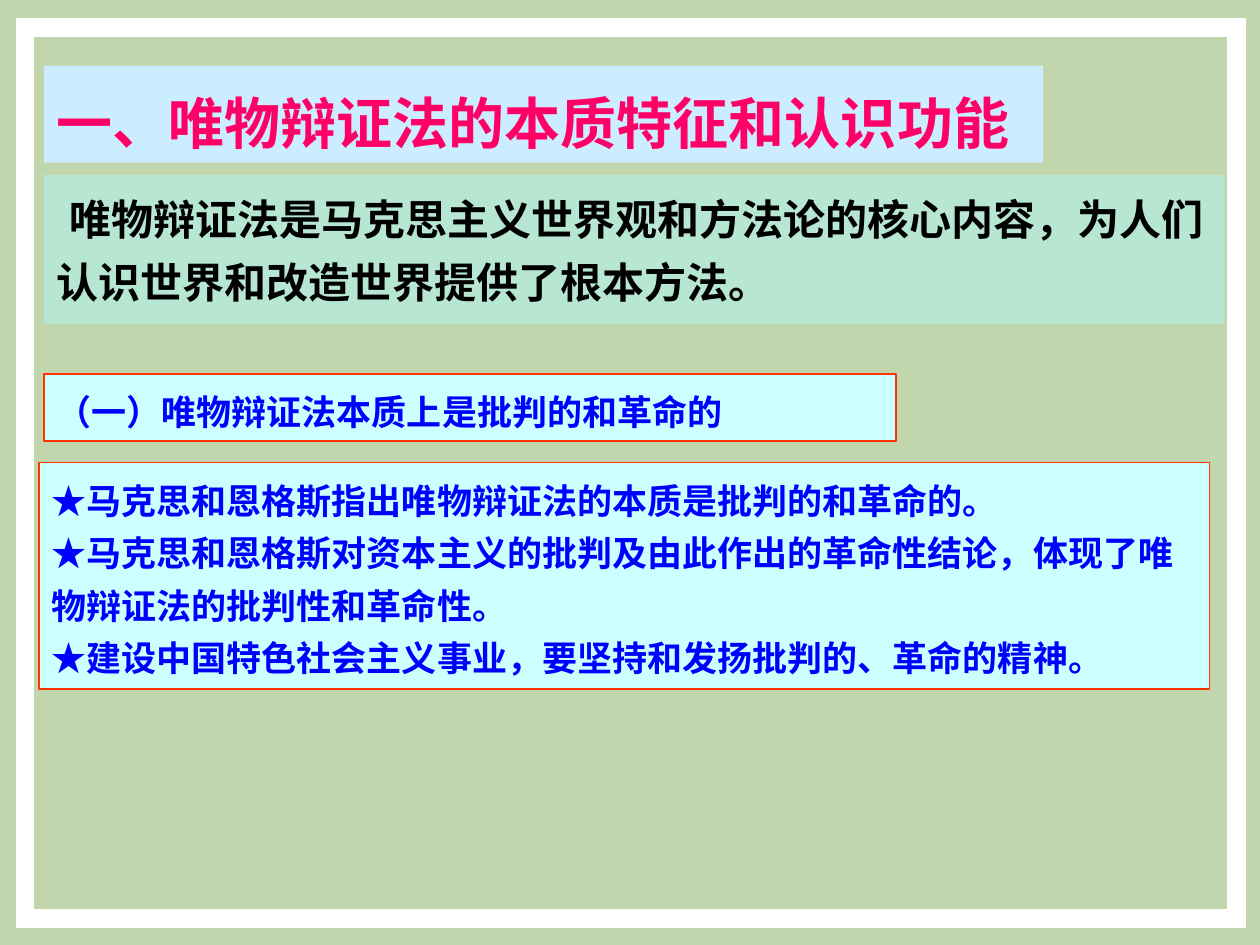
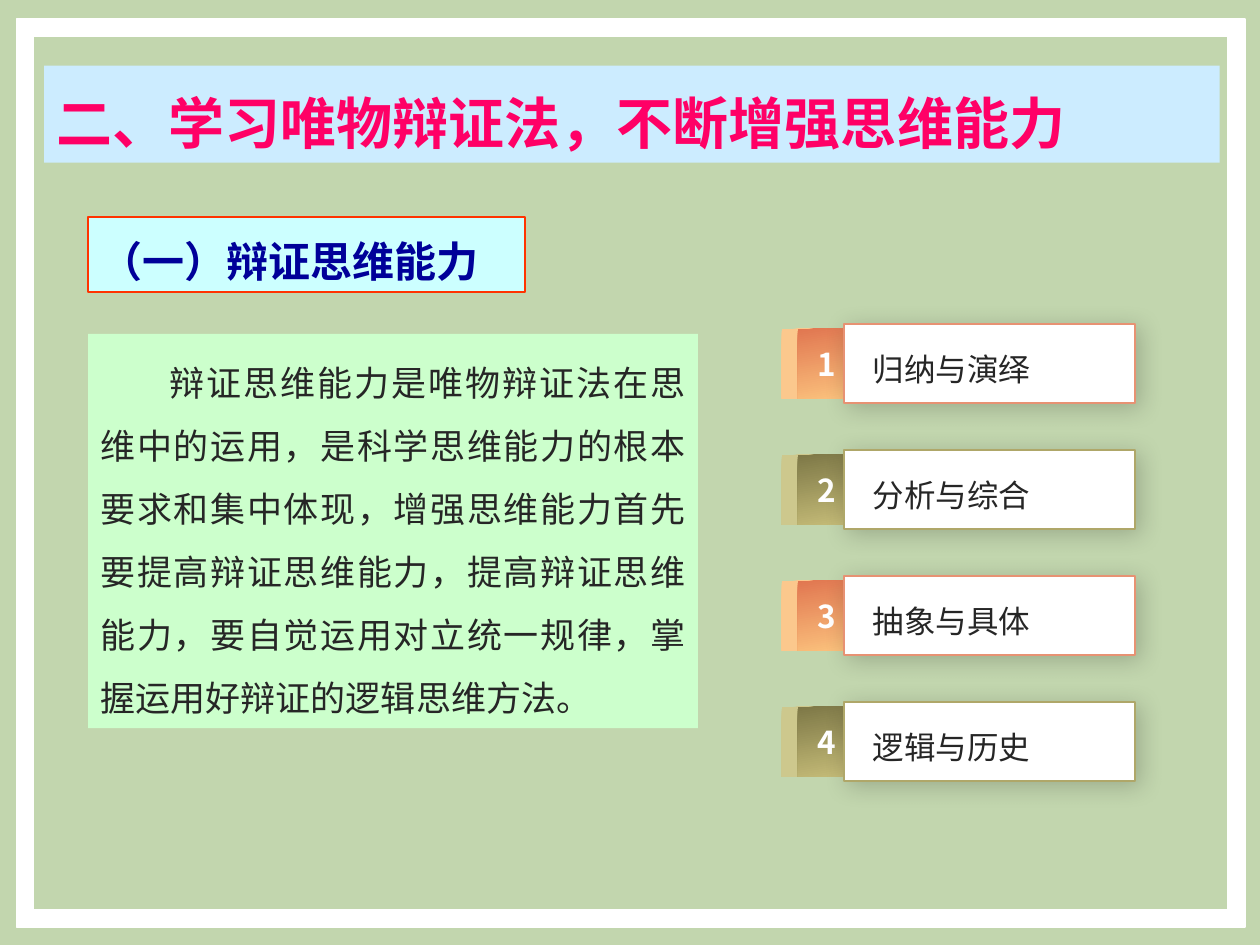
"""Build two slides on materialist dialectics and dialectical thinking."""
from lxml import etree
from pptx import Presentation
from pptx.dml.color import RGBColor
from pptx.enum.shapes import MSO_SHAPE
from pptx.enum.text import MSO_ANCHOR, MSO_AUTO_SIZE, PP_ALIGN
from pptx.oxml.ns import qn
from pptx.util import Inches, Pt

RECTANGLE, FRAME = MSO_SHAPE.RECTANGLE, MSO_SHAPE.FRAME
TOP, MIDDLE = MSO_ANCHOR.TOP, MSO_ANCHOR.MIDDLE
LEFT, CENTER, JUSTIFY = PP_ALIGN.LEFT, PP_ALIGN.CENTER, PP_ALIGN.JUSTIFY
FIXED_SIZE = MSO_AUTO_SIZE.NONE

BACKGROUND, WHITE, DARK = "C2D6AE", "FFFFFF", "262626"
TITLE_BAND, TITLE_TEXT = "CCECFF", "FF0066"
PANEL, PANEL_LINE, PANEL_TEXT = "CCFFFF", "FF3300", "0000FF"
ORANGE = {"gradient": ("E17751", "FBC27D"), "edge": "FBC88D", "line": "E79273"}
OLIVE = {"gradient": ("7E7847", "C5BC78"), "edge": "CDC88D", "line": "AFA769"}
TITLE_FONT, BODY_FONT = "Noto Sans CJK JP", "Noto Sans CJK SC"


def color(value):
    return RGBColor.from_string(value)


class Deck:
    def __init__(self):
        self.presentation = Presentation()
        self.presentation.slide_width = Inches(10)
        self.presentation.slide_height = Inches(7.5)
        fill = self.presentation.slide_master.background.fill
        fill.solid()
        fill.fore_color.rgb = color(BACKGROUND)
        self.slide = self.shapes = None

    def new_slide(self, title, title_width):
        layout = self.presentation.slide_layouts[5]
        self.slide = self.presentation.slides.add_slide(layout)
        self.shapes = self.slide.shapes
        frame = self.box((0.13, 0.15, 9.75, 7.21), WHITE, WHITE, FRAME)
        frame.adjustments[0] = 0.019
        band = self.shapes.title
        band.left, band.top = Inches(0.35), Inches(0.52)
        band.width, band.height = Inches(title_width), Inches(0.77)
        band.fill.solid()
        band.fill.fore_color.rgb = color(TITLE_BAND)
        self.set_text(band, [title], 32, TITLE_TEXT, bold=True, name=TITLE_FONT)

    def box(self, place, fill=None, line=None, preset=RECTANGLE):
        shape = self.shapes.add_shape(preset, *map(Inches, place))
        shape.shadow.inherit = False
        if fill:
            shape.fill.solid()
            shape.fill.fore_color.rgb = color(fill)
        if line:
            shape.line.color.rgb = color(line)
            shape.line.width = Pt(1)
        else:
            shape.line.fill.background()
        return shape

    def set_text(self, shape, texts, size, text_color, bold=False, name=BODY_FONT,
                 spacing=1.25, align=LEFT, anchor=TOP, indent=0, before=0):
        frame = shape.text_frame
        frame.text = "\n".join(texts)
        frame.word_wrap = True
        frame.auto_size = FIXED_SIZE
        frame.vertical_anchor = anchor
        for paragraph in frame.paragraphs:
            paragraph.alignment = align
            paragraph.line_spacing = spacing
            paragraph.space_before = Pt(before)
            if indent:
                properties = paragraph._p.get_or_add_pPr()
                properties.set("marL", "0")
                properties.set("indent", str(Inches(indent)))
            font = paragraph.font
            font.name, font.size, font.bold = name, Pt(size), bold
            font.color.rgb = color(text_color)
            east_asian = etree.SubElement(font._rPr, qn("a:ea"))
            east_asian.set("typeface", name)

    def panel(self, place, texts, size=20, text_color=PANEL_TEXT):
        self.set_text(self.box(place, PANEL, PANEL_LINE), texts, size, text_color, bold=True)

    def shadow(self, shape, shadow_color, opacity, blur, distance, angle):
        effects = shape._element.spPr.find(qn("a:effectLst"))
        outer = etree.SubElement(effects, qn("a:outerShdw"), blurRad=str(Pt(blur)),
                                 dist=str(Pt(distance)), dir=str(angle * 60000),
                                 algn="ctr", rotWithShape="0")
        tone = etree.SubElement(outer, qn("a:srgbClr"), val=shadow_color)
        etree.SubElement(tone, qn("a:alpha"), val=str(opacity * 1000))

    def numbered_card(self, top, number, label, scheme):
        self.shapes = self.slide.shapes.add_group_shape().shapes
        tab = self.box((6.33, top + 0.04, 0.46, 0.55))
        tab.fill.gradient()
        tab.fill.gradient_angle = 280
        for stop, tone in zip(tab.fill.gradient_stops, scheme["gradient"]):
            stop.color.rgb = color(tone)
        self.shadow(tab, scheme["edge"], 100, 0, 9, 180)
        self.set_text(tab, [str(number)], 18, WHITE, bold=True, spacing=1.0,
                      align=CENTER, anchor=MIDDLE)
        card = self.box((6.7, top, 2.31, 0.63), WHITE, scheme["line"])
        self.shadow(card, "000000", 20, 14, 3, 45)
        caption = self.shapes.add_textbox(*map(Inches, (6.83, top + 0.1, 2.31, 0.46)))
        self.set_text(caption, [label], 18, DARK, spacing=1.2)
        self.shapes = self.slide.shapes


def essence_slide(deck):
    deck.new_slide("一、唯物辩证法的本质特征和认识功能", 7.93)
    summary = deck.box((0.35, 1.39, 9.37, 1.18), "B7E7D2")
    deck.set_text(summary, ["唯物辩证法是马克思主义世界观和方法论的核心内容，"
                            "为人们认识世界和改造世界提供了根本方法。"],
                  24, "000000", bold=True, indent=0.1, before=4.8)
    deck.panel((0.35, 2.97, 6.76, 0.53), ["（一）唯物辩证法本质上是批判的和革命的"])
    deck.panel((0.31, 3.67, 9.29, 1.8), [
        "★马克思和恩格斯指出唯物辩证法的本质是批判的和革命的。",
        "★马克思和恩格斯对资本主义的批判及由此作出的革命性结论，"
        "体现了唯物辩证法的批判性和革命性。",
        "★建设中国特色社会主义事业，要坚持和发扬批判的、革命的精神。",
    ])


def thinking_slide(deck):
    deck.new_slide("二、学习唯物辩证法，不断增强思维能力", 9.33)
    deck.panel((0.7, 1.72, 3.47, 0.6), ["（一）辩证思维能力"], 24, "000099")
    explanation = deck.box((0.7, 2.65, 4.84, 3.13), "CCFFCC")
    deck.set_text(explanation, ["辩证思维能力是唯物辩证法在思维中的运用，"
                                "是科学思维能力的根本要求和集中体现，"
                                "增强思维能力首先要提高辩证思维能力，提高辩证思维能力，"
                                "要自觉运用对立统一规律，掌握运用好辩证的逻辑思维方法。"],
                  20, DARK, spacing=1.5, align=JUSTIFY, indent=0.55)
    methods = ["归纳与演绎", "分析与综合", "抽象与具体", "逻辑与历史"]
    for index, method in enumerate(methods):
        deck.numbered_card(2.57 + index, index + 1, method, (ORANGE, OLIVE)[index % 2])


def main():
    deck = Deck()
    essence_slide(deck)
    thinking_slide(deck)
    deck.presentation.save("out.pptx")


if __name__ == "__main__":
    main()
